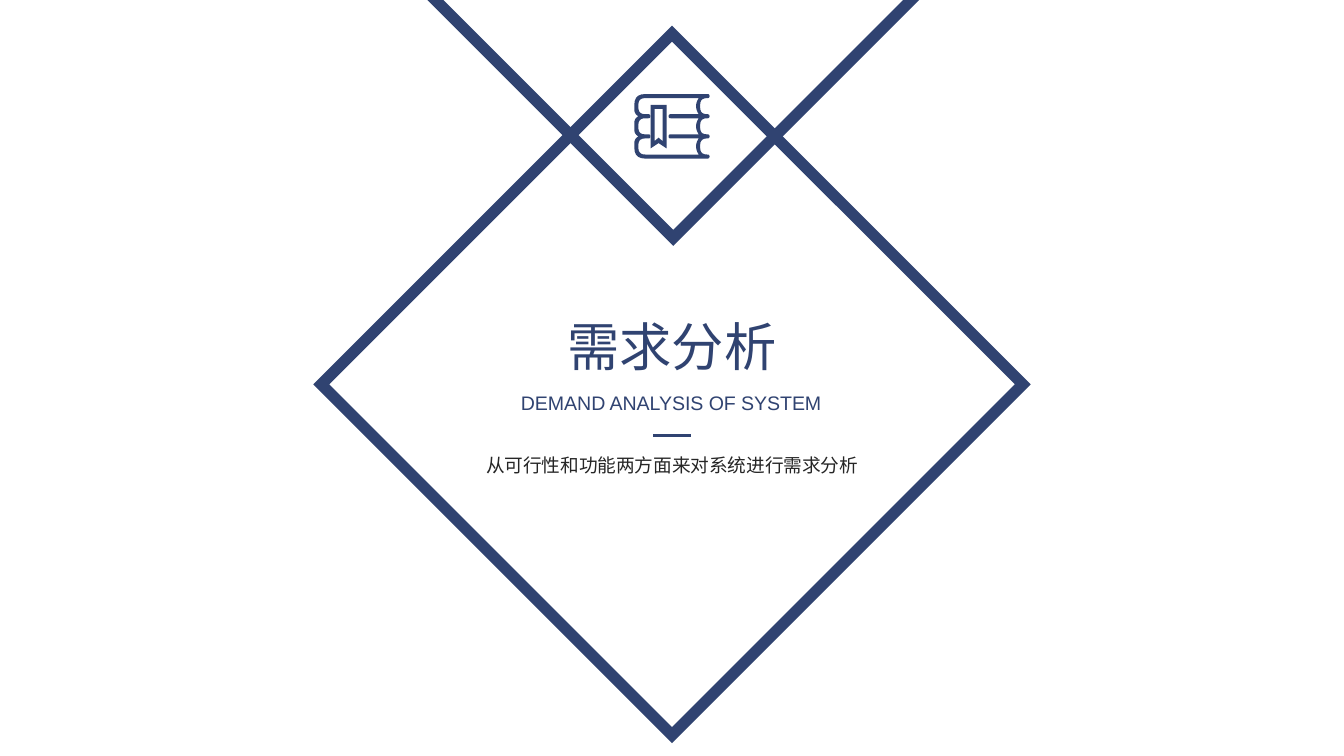
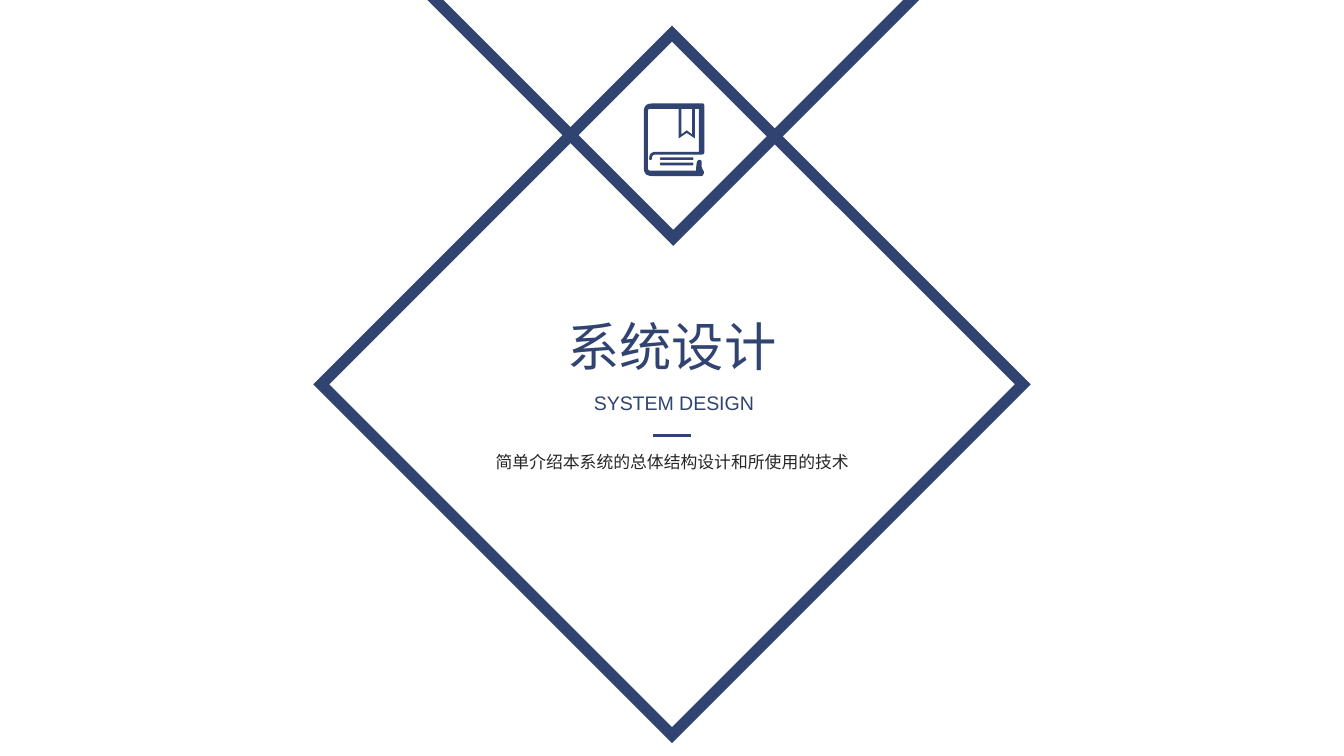
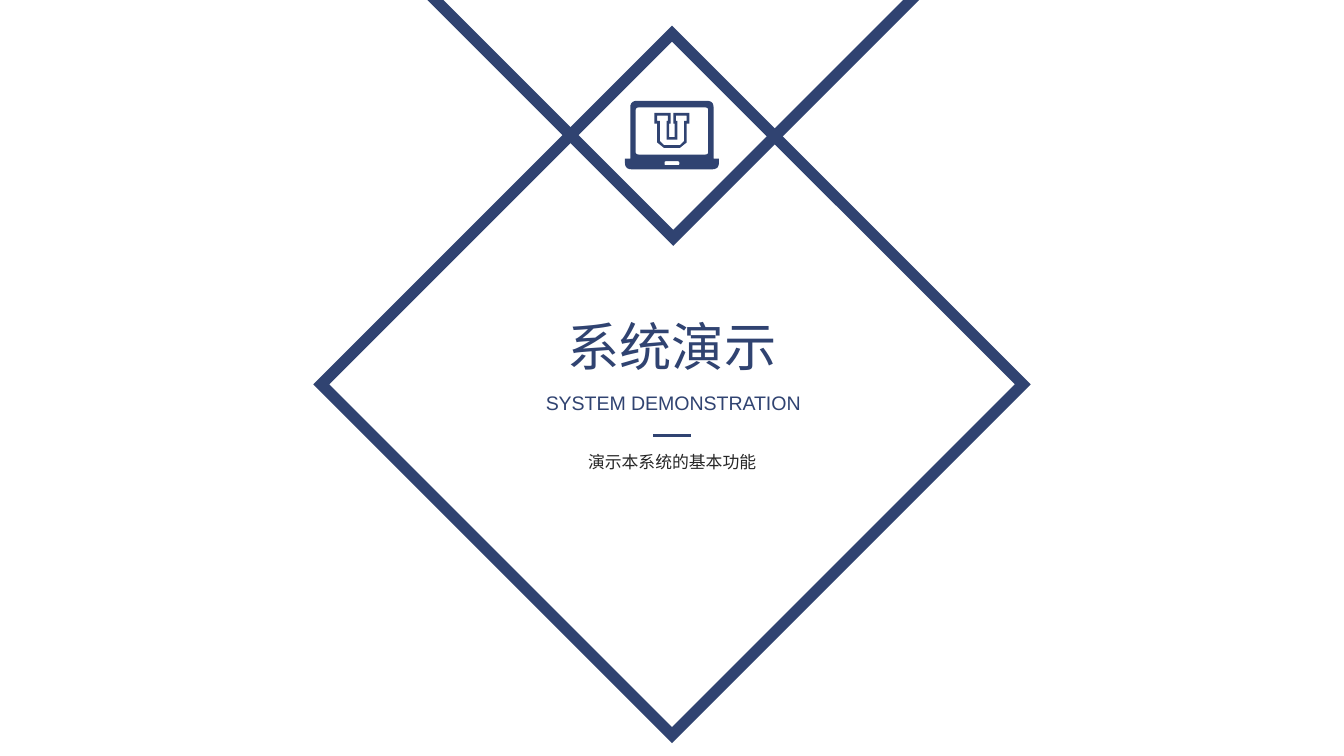
from dataclasses import dataclass
from math import dist
from typing import Callable

from lxml.etree import SubElement
from pptx import Presentation
from pptx.dml.color import RGBColor
from pptx.enum.shapes import MSO_CONNECTOR as Connector, MSO_SHAPE as Preset
from pptx.enum.text import MSO_ANCHOR as Anchor, MSO_AUTO_SIZE as AutoSize, PP_ALIGN as Align
from pptx.oxml.ns import qn
from pptx.util import Inches, Pt


@dataclass(frozen=True)
class Theme:
    """Colours, fonts and sizes shared by the section slides."""
    navy: RGBColor = RGBColor(0x30, 0x43, 0x71)
    ink: RGBColor = RGBColor(0x26, 0x26, 0x26)
    chinese: str = "Noto Sans CJK SC"
    latin: str = "Arial"
    body: str = "Calibri"
    title_size: float = 28
    caption_size: float = 10.5
    frame_width: float = 6
    rule_width: float = 1.5


@dataclass(frozen=True)
class Box:
    """A rectangle measured in columns and rows of the slide grid."""
    left: float
    top: float
    width: float
    height: float

    def inside(self, left, top, width, height):
        """Return a box placed relative to this one."""
        return Box(self.left + left, self.top + top, width, height)

    def emu(self):
        """Return left, top, width and height as lengths."""
        return [cells(value) for value in (self.left, self.top, self.width, self.height)]


@dataclass(frozen=True)
class Note:
    """Wording and setting of the sentence below the rule."""
    text: str
    top: float = 9.6
    height: float = 3
    font: str = Theme.body
    size: float = 9
    spacing: float = 1.5


@dataclass(frozen=True)
class Icon:
    """An icon's drawing rule and its place in the diamond's box."""
    left: float
    top: float
    outlines: Callable


@dataclass(frozen=True)
class Section:
    """Content of one section slide."""
    title: str
    caption: str
    caption_left: float
    caption_width: float
    note: Note
    icon: Icon


THEME = Theme()
COLUMNS = 100
SLIDE_WIDTH = Inches(10)
SLIDE_HEIGHT = SLIDE_WIDTH * 9 // 16
CELL = SLIDE_WIDTH // COLUMNS
ICON_UNIT = 0.1
FRAME = Box(23.9, 2.5, 52.2, 52.2)
TEXT = Box(30.9, 22.9, 38.2, 13.1)


def cells(count):
    """Convert grid cells to a length."""
    return round(count * CELL)


def toward(start, end, distance):
    """Return the point at a distance from start on the way to end."""
    share = distance / dist(start, end)
    return tuple(a + (b - a) * share for a, b in zip(start, end))


def round_corners(corners, steps=5):
    """Turn corners, given as x, y and an optional radius, into points."""
    points = []
    for index, (x, y, *radius) in enumerate(corners):
        corner = (x, y)
        if not radius:
            points.append(corner)
            continue
        before, after = corners[index - 1][:2], corners[(index + 1) % len(corners)][:2]
        start, end = (toward(corner, other, radius[0]) for other in (before, after))
        for step in range(steps + 1):
            t = step / steps
            points.append(tuple((1 - t) ** 2 * a + 2 * t * (1 - t) * b + t ** 2 * c
                                for a, b, c in zip(start, corner, end)))
    return points


def rectangle(left, top, width, height, radius):
    """Return the corners of a rounded rectangle."""
    right, bottom = left + width, top + height
    return [(x, y, radius) for x, y in ((left, top), (right, top), (right, bottom), (left, bottom))]


def ribbon(left, top, width, height, notch):
    """Return the corners of a bookmark, down its left side and up its right."""
    right, bottom = left + width, top + height
    return [(left, top), (left, bottom), (left + width / 2, bottom - notch),
            (right, bottom), (right, top)]


def block_letter(width, inset):
    """Return the corners of a symmetric letter U, shrunk by an inset."""
    stem, serif = 46 - inset, 48 - inset
    slot, gap = 37 + inset, 36 + inset
    top, serif_foot = 9 + inset, 17 - inset
    half = [(slot, 27 + inset), (slot, serif_foot), (gap, serif_foot), (gap, top), (serif, top),
            (serif, serif_foot), (stem, serif_foot), (stem, 31 - inset / 2), (41, 35 - inset)]
    return half + [(width - x, y) for x, y in reversed(half)]


def book_stack(width=56, books=3, pitch=15, cover=3):
    """Return a stack of books and the bookmark hanging in front of it."""
    tops = [book * pitch for book in range(books)]
    bottom = books * pitch + cover
    tip, curve = cover / 2, 5
    hollow = width - 7
    silhouette, right_pages, left_pages = [], [], []
    for top in reversed(tops):
        page_top, page_bottom = top + cover, top + pitch
        silhouette += [(width, page_bottom + cover, tip), (width, page_bottom, tip),
                       (hollow, page_bottom, curve), (hollow, page_top, curve)]
        left_pages += [(cover, page_bottom, curve), (cover, page_top, curve)]
        if top:
            left_pages += [(12, page_top, tip), (12, top, tip)]
    silhouette += [(width, cover, tip), (width, 0, tip), (0, 0, 8)]
    for top in tops:
        page_top, page_bottom = top + cover, top + pitch
        right_pages += [(hollow - 1, page_top), (hollow - cover, page_top + 3, 3),
                        (hollow - cover, page_bottom - 3, 3), (hollow - 1, page_bottom)]
        if top != tops[-1]:
            joint = page_bottom + tip
            right_pages += [(25.5, page_bottom, tip), (25.5, page_bottom + cover, tip)]
            silhouette += [(0, joint - 2, 3), (cover, joint), (0, joint + 2, 3)]
    silhouette.append((0, bottom, 8))
    bookmark = [ribbon(12, 8, 12, 32.5, 4), ribbon(15, 11, 6, 24, 2.5)]
    return [[silhouette, right_pages + left_pages], bookmark]


def closed_book(width=45, height=54, border=4):
    """Return a book with a bookmark and two lines on its page block."""
    spine, inner_right, page_line = 3, width - border, 36
    cover = [(width, page_line + 2, 1.5), (width, 0, 1.5), (0, 0, 6), (0, height, 6),
             (width - 1, height, 1.5)]
    fore_edge = [(width, 51, 1), (43, 48, 2), (43, 42, 1.5), (40, 42, 1.5), (39, 46, 2),
                 (39, height - border)]
    inside = [(spine, height - border, 2), (spine, border, 2),
              *ribbon(26, border, 12, 22, 4), (inner_right, border)]
    page_top = [(inner_right, page_line), (4, page_line, 5), (4, 42, 1), (6, 42, 1),
                (6, page_line + 2, 3)]
    text_lines = [[rectangle(12, top, 25, 2, 1)] for top in (40, 44)]
    return text_lines + [[cover + fore_edge + inside + page_top, ribbon(28, border, 8, 19, 3)]]


def laptop(width=70, height=51):
    """Return a laptop showing a block letter."""
    lid_left, lid_right, hinge = 4, width - 4, 43
    lid = [(lid_left, hinge), (lid_left, 0, 5), (lid_right, 0, 5), (lid_right, hinge)]
    base = [(width, hinge), (width, height, 5), (0, height, 5), (0, hinge)]
    screen = rectangle(8, 5, 54, 35, 2)
    latch = rectangle(29.5, 45, 11, 3, 1)
    letter = [block_letter(width, inset) for inset in (0, 2)]
    return [[lid + base, screen, latch, *letter]]


def add_outline(slide, box, contours, unit=1.0):
    """Add one freeform whose closed contours are relative to the box."""
    builder = None
    for corners in contours:
        points = [(cells(box.left + x * unit), cells(box.top + y * unit))
                  for x, y in round_corners(corners)]
        if builder is None:
            builder = slide.shapes.build_freeform(*points[0], scale=1.0)
        else:
            builder.move_to(*points[0])
        builder.add_line_segments(points[1:], close=True)
    shape = builder.convert_to_shape()
    shape.shadow.inherit = False
    return shape


def set_frame_style(shape):
    """Give a shape the thick, sharp-cornered navy outline."""
    shape.shadow.inherit = False
    shape.fill.background()
    shape.line.width = Pt(THEME.frame_width)
    shape.line.color.rgb = THEME.navy
    SubElement(shape.line._get_or_add_ln(), qn("a:miter"), lim="800000")


def set_text(shape, box, text, font, size, color, spacing=1.0, wrap=False):
    """Place a text shape and fill it with one centred run."""
    shape.left, shape.top, shape.width, shape.height = box.emu()
    frame = shape.text_frame
    frame.auto_size = AutoSize.NONE
    frame.word_wrap = wrap
    frame.vertical_anchor = Anchor.MIDDLE
    frame.margin_top = frame.margin_bottom = 0
    paragraph = frame.paragraphs[0]
    paragraph.alignment = Align.CENTER
    paragraph.line_spacing = spacing
    paragraph.space_before = Pt(0)
    run = paragraph.add_run()
    run.text = text
    run.font.name = font
    run.font.size = Pt(size)
    run.font.color.rgb = color
    SubElement(run._r.get_or_add_rPr(), qn("a:ea"), typeface=THEME.chinese)


def add_heading(slide, box, section):
    """Add title, caption, note and rule to the text region."""
    set_text(slide.shapes.title, box.inside(10.25, 0, 17.7, 5.7), section.title,
             THEME.chinese, THEME.title_size, THEME.navy)
    caption_box = box.inside(section.caption_left, 5.7, section.caption_width, 2.8)
    set_text(slide.placeholders[1], caption_box, section.caption,
             THEME.latin, THEME.caption_size, THEME.navy)
    note = section.note
    note_box = box.inside(0, note.top, box.width, note.height)
    set_text(slide.shapes.add_textbox(*note_box.emu()), note_box, note.text,
             note.font, note.size, THEME.ink, note.spacing, wrap=True)
    left, top, width, _ = box.inside(17.7, 9.5, 2.8, 0).emu()
    rule = slide.shapes.add_connector(Connector.STRAIGHT, left, top, left + width, top)
    rule.line.color.rgb = THEME.navy
    rule.line.width = Pt(THEME.rule_width)
    SubElement(rule._element.spPr, qn("a:effectLst"))


def add_frames(slide, box):
    """Add the hanging triangle and the large diamond."""
    hanging = box.inside(3.4, -7.6, 45.6, 22.8)
    triangle = [(0, 0), (hanging.width, 0), (hanging.width / 2, hanging.height)]
    set_frame_style(add_outline(slide, hanging, [triangle]))
    set_frame_style(slide.shapes.add_shape(Preset.DIAMOND, *box.emu()))


def add_icon(slide, box, icon):
    """Add the navy icon in the top corner of the diamond."""
    corner = box.inside(icon.left, icon.top, 0, 0)
    for contours in icon.outlines():
        shape = add_outline(slide, corner, contours, ICON_UNIT)
        shape.fill.solid()
        shape.fill.fore_color.rgb = THEME.navy
        shape.line.fill.background()


def add_section(presentation, section):
    """Add one section slide."""
    slide = presentation.slides.add_slide(presentation.slide_layouts[0])
    add_heading(slide, TEXT, section)
    add_frames(slide, FRAME)
    add_icon(slide, FRAME, section.icon)


def main():
    """Build and save the section slides."""
    presentation = Presentation()
    presentation.slide_width, presentation.slide_height = SLIDE_WIDTH, SLIDE_HEIGHT
    sections = [
        Section("需求分析", "DEMAND ANALYSIS OF SYSTEM", 6.6, 24.9,
                Note("从可行性和功能两方面来对系统进行需求分析", top=10.35, height=2.7,
                     font=THEME.chinese, size=10, spacing=1.0),
                Icon(23.3, 4.5, book_stack)),
        Section("系统设计", "SYSTEM DESIGN", 12.2, 14.1,
                Note("简单介绍本系统的总体结构设计和所使用的技术"), Icon(24, 5.2, closed_book)),
        Section("系统演示", "SYSTEM DEMONSTRATION", 8.5, 21.4,
                Note("演示本系统的基本功能"), Icon(22.6, 5, laptop)),
    ]
    for section in sections:
        add_section(presentation, section)
    presentation.save("out.pptx")


if __name__ == "__main__":
    main()
